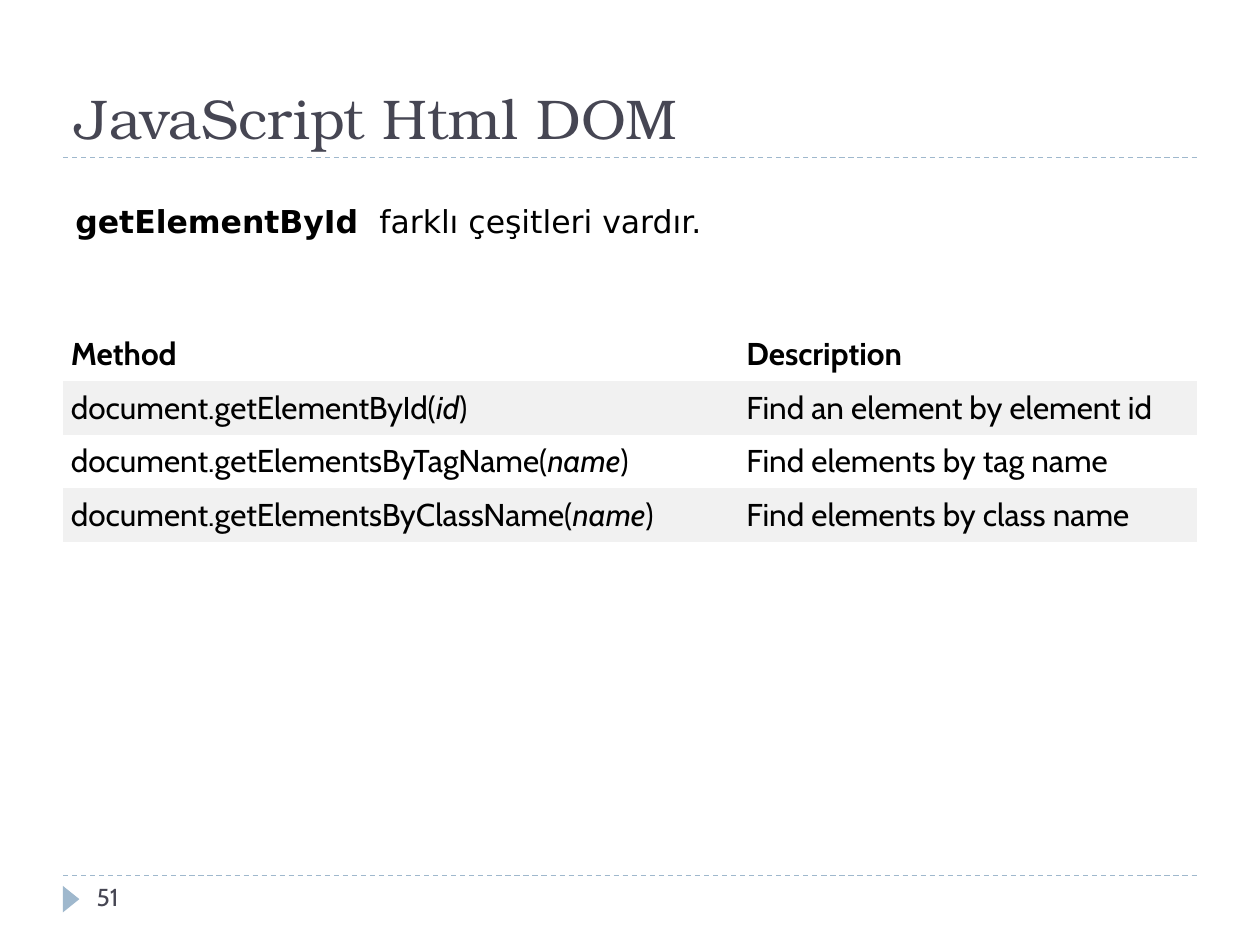
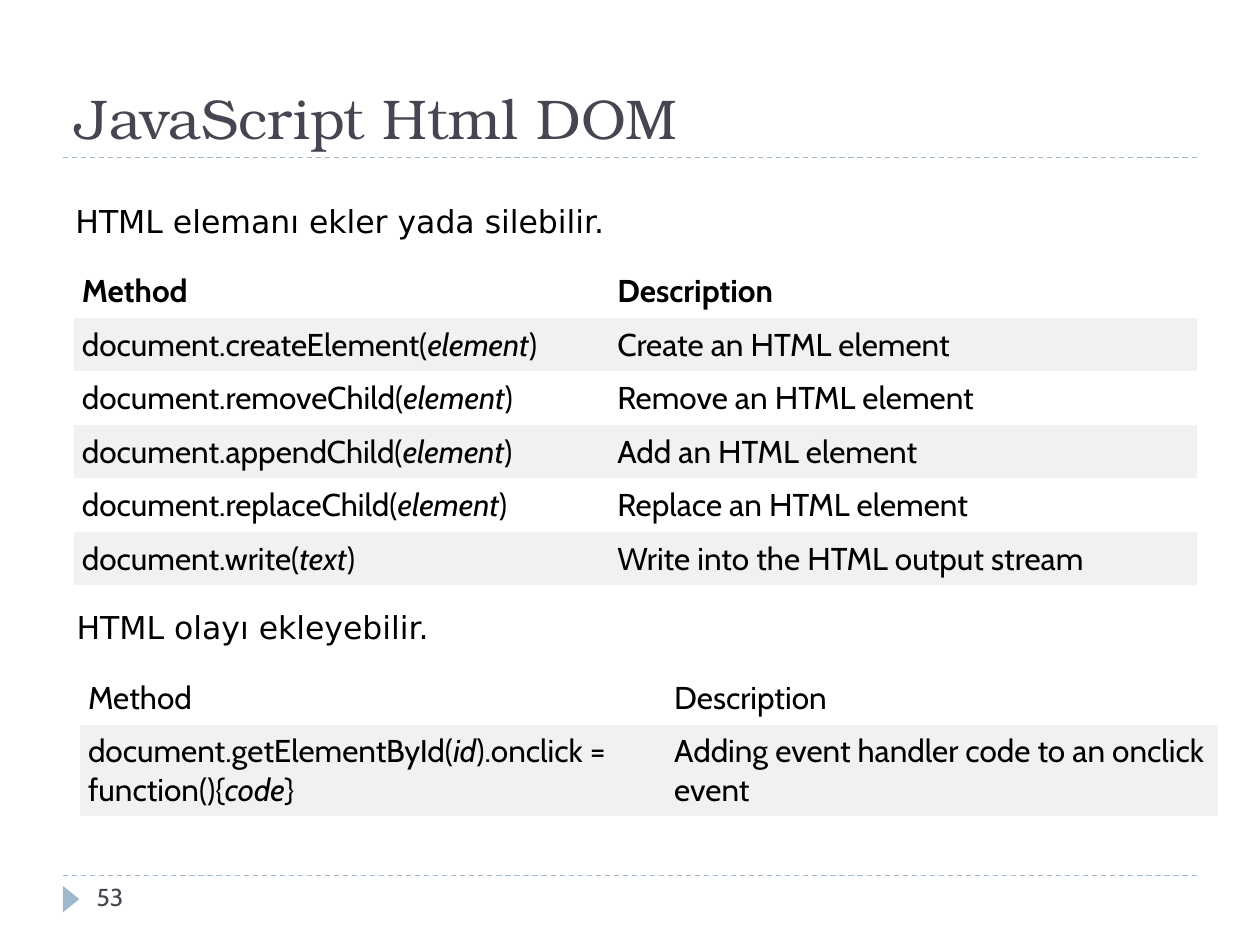
from dataclasses import dataclass

from lxml import etree
from pptx import Presentation
from pptx.dml.color import RGBColor
from pptx.enum.dml import MSO_LINE
from pptx.enum.shapes import MSO_CONNECTOR, MSO_SHAPE
from pptx.enum.text import MSO_ANCHOR, MSO_AUTO_SIZE, PP_ALIGN
from pptx.oxml.ns import qn
from pptx.util import Pt

STRAIGHT = MSO_CONNECTOR.STRAIGHT
TRIANGLE = MSO_SHAPE.ISOSCELES_TRIANGLE
DASH = MSO_LINE.DASH
TOP, BOTTOM = MSO_ANCHOR.TOP, MSO_ANCHOR.BOTTOM
FIXED = MSO_AUTO_SIZE.NONE
LEFT = PP_ALIGN.LEFT
PLAIN_GRID = "{2D5ABB26-0587-4C30-8999-92F81FD0307C}"


@dataclass(frozen=True)
class Theme:
    ink: str = "000000"
    slate: str = "464653"
    accent: str = "9FB8CD"
    bands: tuple = ("FFFFFF", "F1F1F1")
    serif: str = "TeX Gyre Bonum"
    sans: str = "Cabin"
    lead: str = "DejaVu Sans"
    head: int = 32
    body: int = 18
    small: int = 14
    row: float = 29.6
    pad: float = 4.5


THEME = Theme()


def rgb(code):
    return RGBColor.from_string(code)


def write(frame, text, font=THEME.sans, size=THEME.body, color=THEME.ink,
          bold=False, mark="italic", anchor=TOP):
    """Fill a frame; stretches between asterisks get the marked style."""
    frame.word_wrap = True
    frame.vertical_anchor = anchor
    para = frame.paragraphs[0]
    para.alignment = LEFT
    for i, part in enumerate(text.split("*")):
        if not part:
            continue
        run = para.add_run()
        run.text = part
        face = run.font
        face.name, face.size, face.bold = font, Pt(size), bold
        face.color.rgb = rgb(color)
        if i % 2:
            setattr(face, mark, True)


def add_text(slide, box, text, **style):
    shape = slide.shapes.add_textbox(*map(Pt, box))
    write(shape.text_frame, text, **style)


def add_rule(slide, left, top, width):
    line = slide.shapes.add_connector(
        STRAIGHT, Pt(left), Pt(top), Pt(left + width), Pt(top))
    line.line.color.rgb = rgb(THEME.accent)
    line.line.width = Pt(0.75)
    line.line.dash_style = DASH
    etree.SubElement(line._element.spPr, qn("a:effectLst"))


def add_title(slide, box, text):
    left, top, width, height = box
    add_rule(slide, left, top + height, width)
    title = slide.shapes.title
    title.left, title.top, title.width, title.height = map(Pt, box)
    title.text_frame.auto_size = FIXED
    write(title.text_frame, text, font=THEME.serif, size=THEME.head,
          color=THEME.slate, anchor=BOTTOM)


def add_footer(slide, box, number):
    left, top, width, height = box
    add_rule(slide, left, top, width)
    arrow = slide.shapes.add_shape(
        TRIANGLE, Pt(left - 2.9), Pt(top + 8.7), Pt(15.1), Pt(9.4))
    arrow.rotation = 90
    arrow.shadow.inherit = False
    arrow.fill.solid()
    arrow.fill.fore_color.rgb = rgb(THEME.accent)
    arrow.line.fill.background()
    add_text(slide, (left + 12.2, top, 156, height), str(number),
             size=THEME.small, color=THEME.slate)


def add_grid(slide, left, top, widths, rows, bold=True):
    """Draw a banded table whose first row is the heading."""
    rows = [("Method", "Description"), *rows]
    table = slide.shapes.add_table(
        len(rows), len(widths), Pt(left), Pt(top),
        Pt(sum(widths)), Pt(THEME.row * len(rows))).table
    table._tbl.tblPr.find(qn("a:tableStyleId")).text = PLAIN_GRID
    table.first_row = table.horz_banding = False
    for col, width in zip(table.columns, widths):
        col.width = Pt(width)
    for r, texts in enumerate(rows):
        table.rows[r].height = Pt(THEME.row)
        for c, text in enumerate(texts):
            cell = table.cell(r, c)
            cell.margin_left = cell.margin_right = Pt(THEME.pad)
            cell.margin_top = cell.margin_bottom = Pt(THEME.pad)
            cell.fill.solid()
            cell.fill.fore_color.rgb = rgb(THEME.bands[r % 2])
            write(cell.text_frame, text, bold=bold and r == 0)


def add_page(deck, number):
    """Start a slide with the shared title and footer."""
    slide = deck.slides.add_slide(deck.slide_layouts[5])
    add_title(slide, (36, 12, 648, 78), "JavaScript Html DOM")
    add_footer(slide, (36, 500.4, 648, 29), number)
    return slide


def find_page(deck):
    slide = add_page(deck, 51)
    add_text(slide, (36, 111.6, 648, 29), "*getElementById * farklı çeşitleri vardır.",
             font=THEME.lead, mark="bold")
    add_grid(slide, 36, 187.2, (386, 262), [
        ("document.getElementById(*id*)", "Find an element by element id"),
        ("document.getElementsByTagName(*name*)", "Find elements by tag name"),
        ("document.getElementsByClassName(*name*)", "Find elements by class name"),
    ])


def edit_page(deck):
    slide = add_page(deck, 53)
    # Adding and removing elements
    add_text(slide, (36, 111.6, 648, 29), "HTML elemanı ekler yada silebilir.",
             font=THEME.lead)
    add_grid(slide, 42.3, 151, (306, 335.7), [
        ("document.createElement(*element*)", "Create an HTML element"),
        ("document.removeChild(*element*)", "Remove an HTML element"),
        ("document.appendChild(*element*)", "Add an HTML element"),
        ("document.replaceChild(*element*)", "Replace an HTML element"),
        ("document.write(*text*)", "Write into the HTML output stream"),
    ])
    # Adding events
    add_text(slide, (36.7, 343.8, 648, 29), "HTML olayı ekleyebilir.",
             font=THEME.lead)
    add_grid(slide, 45.8, 383.4, (335, 315), [
        ("document.getElementById(*id*).onclick = function(){*code*}",
         "Adding event handler code to an onclick event"),
    ], bold=False)


def main():
    deck = Presentation()
    deck.slide_width, deck.slide_height = Pt(720), Pt(540)
    find_page(deck)
    edit_page(deck)
    deck.save("out.pptx")


if __name__ == "__main__":
    main()
